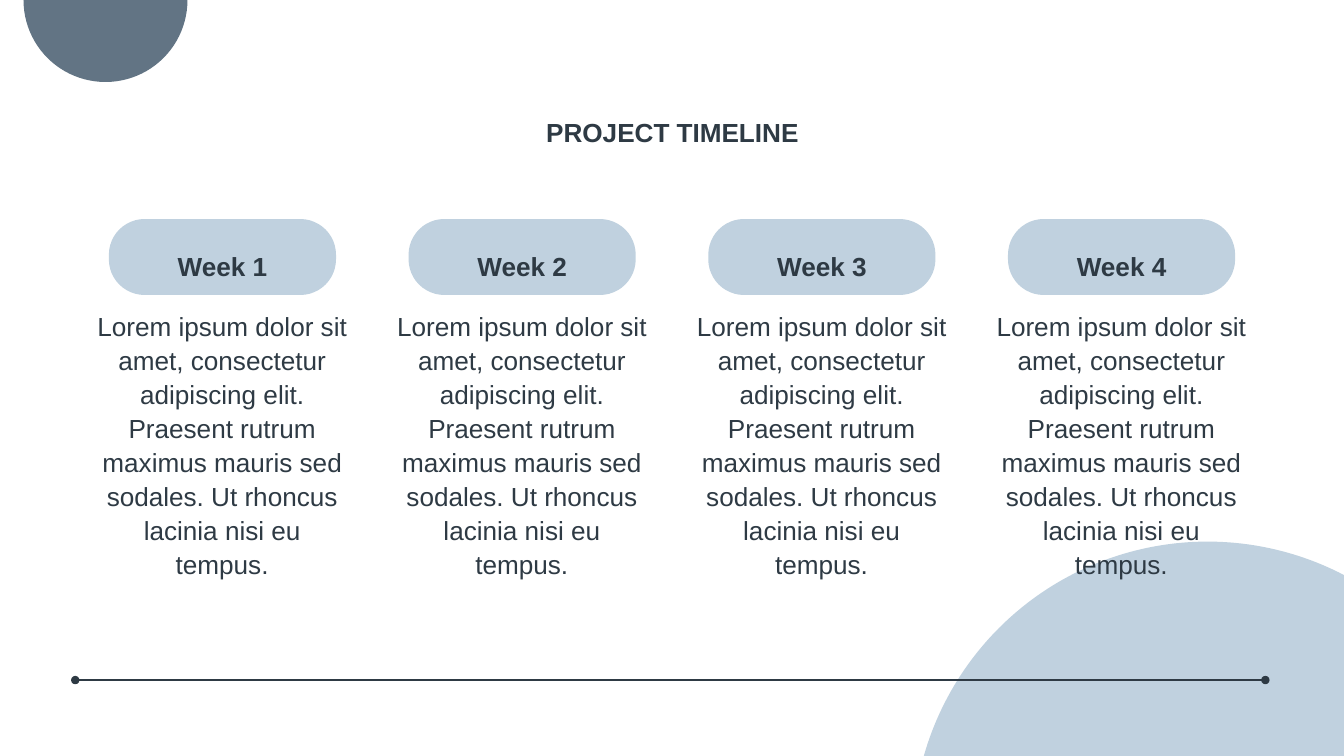
from lxml import etree
from pptx import Presentation
from pptx.dml.color import RGBColor
from pptx.enum.shapes import MSO_CONNECTOR, MSO_SHAPE
from pptx.enum.text import MSO_ANCHOR, PP_ALIGN
from pptx.oxml.ns import qn
from pptx.util import Inches, Pt

OVAL = MSO_SHAPE.OVAL
PILL = MSO_SHAPE.ROUNDED_RECTANGLE
LINE = MSO_CONNECTOR.STRAIGHT
TOP = MSO_ANCHOR.TOP
CENTER = PP_ALIGN.CENTER

INK = RGBColor(0x2E, 0x3A, 0x44)
SLATE = RGBColor(0x62, 0x74, 0x84)
PALE = RGBColor(0xC0, 0xD1, 0xDF)
WHITE = RGBColor(0xFF, 0xFF, 0xFF)

BODY = (
    "Lorem ipsum dolor sit amet, consectetur adipiscing elit. "
    "Praesent rutrum maximus mauris sed sodales. "
    "Ut rhoncus lacinia nisi eu tempus."
)

deck = Presentation()
deck.slide_width = Inches(20)
deck.slide_height = Inches(11.25)
slide = deck.slides.add_slide(deck.slide_layouts[6])
slide.background.fill.solid()
slide.background.fill.fore_color.rgb = WHITE


def add_form(kind, left, top, width, height, color):
    form = slide.shapes.add_shape(
        kind, Inches(left), Inches(top), Inches(width), Inches(height)
    )
    form.shadow.inherit = False
    form.fill.solid()
    form.fill.fore_color.rgb = color
    form.line.fill.background()
    return form


def add_text(text, left, top, width, height, pitch, bold=False):
    box = slide.shapes.add_textbox(
        Inches(left), Inches(top), Inches(width), Inches(height)
    )
    frame = box.text_frame
    frame.word_wrap = True
    frame.vertical_anchor = TOP
    frame.margin_left = frame.margin_right = 0
    frame.margin_top = frame.margin_bottom = 0
    para = frame.paragraphs[0]
    para.alignment = CENTER
    para.line_spacing = Pt(pitch)
    run = para.add_run()
    run.text = text
    run.font.name = "Arial"
    run.font.size = Pt(28)
    run.font.bold = bold
    run.font.color.rgb = INK


add_form(OVAL, 13.58, 8.06, 8.78, 8.78, PALE)

axis = slide.shapes.add_connector(
    LINE, Inches(1.12), Inches(10.12), Inches(18.83), Inches(10.12)
)
axis.line.color.rgb = INK
axis.line.width = Pt(3)
stroke = axis.line._get_or_add_ln()
for end in ("a:headEnd", "a:tailEnd"):
    etree.SubElement(stroke, qn(end), type="oval")
etree.SubElement(axis._element.spPr, qn("a:effectLst"))

add_form(OVAL, 0.35, -1.22, 2.44, 2.44, SLATE)
add_text("PROJECT TIMELINE", 3.85, 0.74, 12.31, 1.64, pitch=105, bold=True)

for week in range(4):
    left = 1.4 + 4.46 * week
    pill = add_form(PILL, left + 0.22, 3.26, 3.38, 1.13, PALE)
    pill.adjustments[0] = 0.47
    add_text(BODY, left, 4.58, 3.81, 3.48, pitch=36.4)
    add_text(f"Week {week + 1}", left + 0.56, 3.42, 2.7, 0.73, pitch=56, bold=True)

deck.save("out.pptx")
